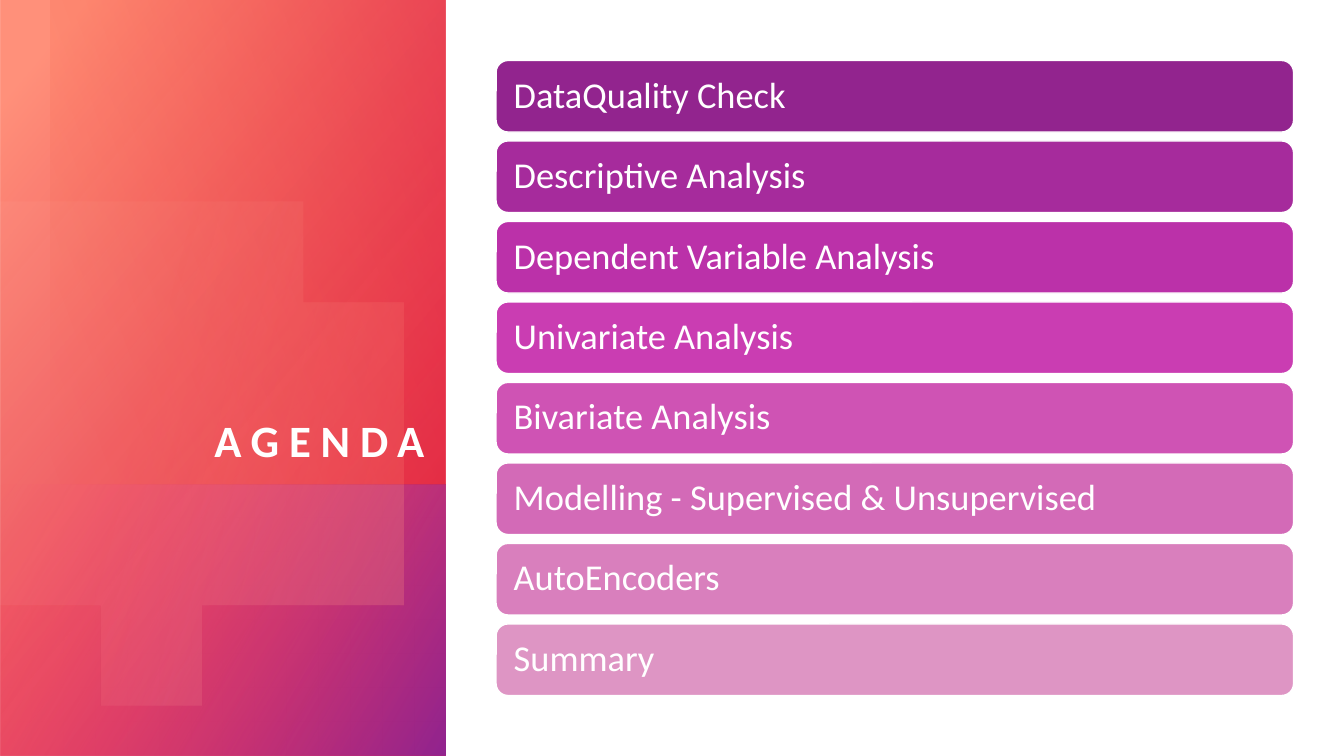
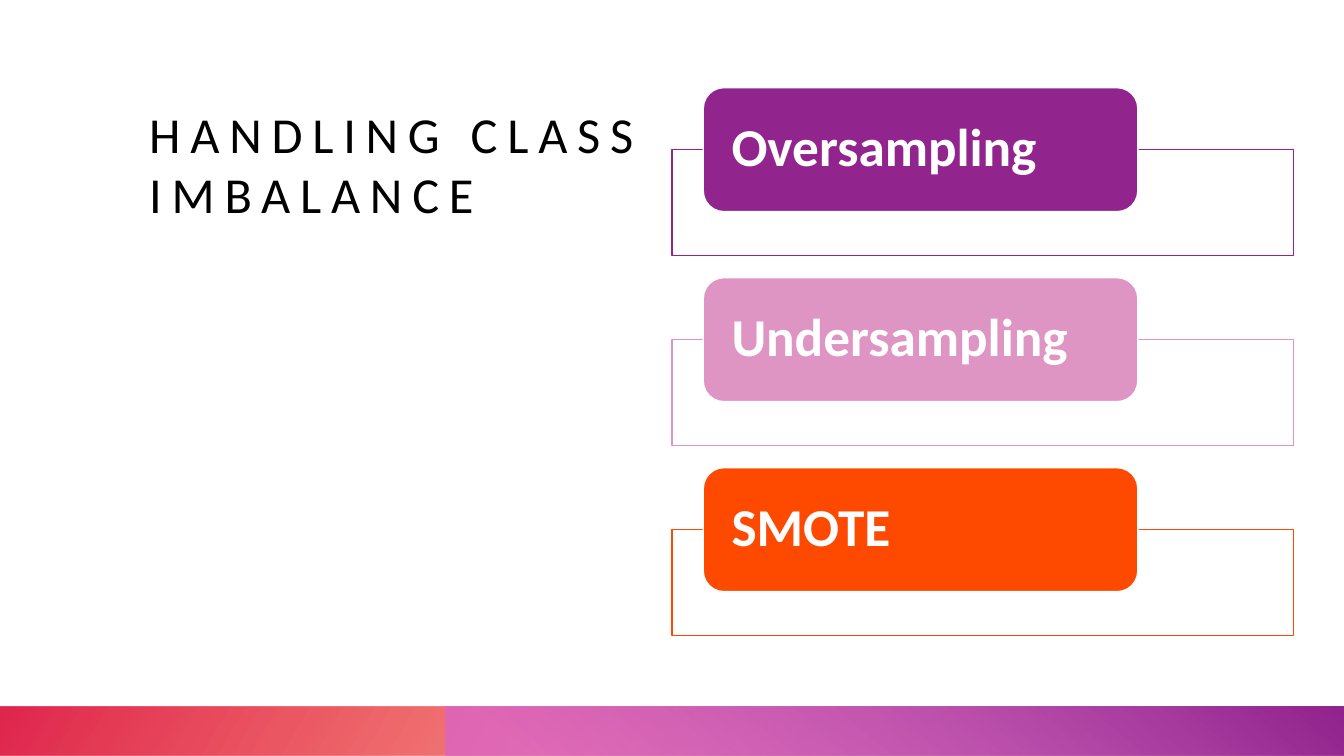
from math import acos, cos, sin, pi

from lxml.etree import SubElement as Sub
from pptx import Presentation
from pptx.dml.color import RGBColor as Rgb
from pptx.enum.shapes import MSO_SHAPE as Kind
from pptx.enum.text import MSO_ANCHOR as Anchor, MSO_AUTO_SIZE as Auto, PP_ALIGN as Align
from pptx.oxml.ns import qn
from pptx.util import Inches, Pt

# Shared look
WIDE, HIGH = 13.33, 7.5
SIDE = 4.42  # width of the left column on both slides
EDGE = 12.83  # right edge of the content
FONT = "Calibri"
WHITE, BLACK = "FFFFFF", "000000"
PLUM, PINK, FLAME, RED = "92248E", "DE95C4", "FE4A00", "DA002F"
PEACH = "FF907A"

TOPICS = [
    ("DataQuality Check", PLUM),
    ("Descriptive Analysis", "A62B9C"),
    ("Dependent Variable Analysis", "BB31A9"),
    ("Univariate Analysis", "CA3DB2"),
    ("Bivariate Analysis", "CF53B4"),
    ("Modelling - Supervised & Unsupervised", "D36AB7"),
    ("AutoEncoders", "D97FBD"),
    ("Summary", PINK),
]
METHODS = [("Oversampling", PLUM), ("Undersampling", PINK), ("SMOTE", FLAME)]


def tint(code):
    return Rgb.from_string(code)


def write(shape, text, size, color=WHITE, bold=False, align=Align.LEFT,
          anchor=Anchor.MIDDLE, inset=(0, 0), lead=1.0, track=0):
    """Put one formatted paragraph into a shape; inset is (sides, top and bottom)."""
    frame = shape.text_frame
    frame.word_wrap, frame.auto_size = True, Auto.NONE
    frame.vertical_anchor = anchor
    frame.margin_left = frame.margin_right = Inches(inset[0])
    frame.margin_top = frame.margin_bottom = Inches(inset[1])
    para = frame.paragraphs[0]
    para.alignment, para.line_spacing = align, lead
    run = para.add_run()
    run.text = text
    font = run.font
    font.name, font.size, font.bold = FONT, Pt(size), bold
    font.color.rgb = tint(color)
    if track:
        run._r.get_or_add_rPr().set("spc", str(track * 100))


def title(slide, text, box, **style):
    """Place the title above everything drawn so far."""
    head = slide.shapes.title
    head.left, head.top, head.width, head.height = map(Inches, box)
    head.element.getparent().append(head.element)
    write(head, text, track=7, **style)


def block(slide, kind, box, fill, line=None):
    shape = slide.shapes.add_shape(kind, *map(Inches, box))
    shape.shadow.inherit = False
    shape.fill.solid()
    shape.fill.fore_color.rgb = tint(fill)
    if line:
        shape.line.color.rgb = tint(line)
        shape.line.width = Pt(1)
    else:
        shape.line.fill.background()
    return shape


def blend(shape, stops, angle):
    """Linear gradient; each stop is (position, colour, opacity), in percent."""
    fill = shape.fill
    fill.gradient()
    fill.gradient_angle = (360 - angle) % 360
    for stop, (place, color, alpha) in zip(fill.gradient_stops, stops):
        stop.position = place / 100
        stop.color.rgb = tint(color)
    marks = shape.element.spPr.find(qn("a:gradFill")).iter(qn("a:srgbClr"))
    for mark, (place, color, alpha) in zip(marks, stops):
        if alpha < 100:
            Sub(mark, qn("a:alpha")).set("val", str(alpha * 1000))


def panel(slide, box, stops, angle, turn=0):
    """Mirrored gradient panel; box is the area it covers after turning."""
    left, top, wide, high = box
    if turn % 180:
        shift = (wide - high) / 2
        box = left + shift, top - shift, high, wide
    shape = block(slide, Kind.RECTANGLE, box, WHITE)
    shape.rotation = turn
    shape.element.spPr.find(qn("a:xfrm")).set("flipH", "1")
    blend(shape, stops, angle)


def disc(slide, x, y, radius, stops, angle):
    """Circle cut off at the left edge of the slide."""
    end, steps = acos(-x / radius), 120
    turns = [end * (2 * i / steps - 1) for i in range(steps + 1)]
    dots = [(x + radius * cos(t), y + radius * sin(t)) for t in turns]
    pen = slide.shapes.build_freeform(*dots[0], scale=Inches(1))
    pen.add_line_segments(dots[1:], close=True)
    shape = pen.convert_to_shape()
    shape.shadow.inherit = False
    shape.line.fill.background()
    blend(shape, stops, angle)


def stack(top, bottom, count, high):
    """Tops of equally spaced rows that fill the span."""
    step = (bottom - top - high) / (count - 1)
    return [top + i * step for i in range(count)]


def agenda(slide):
    # Side column
    low = 4.81
    panel(slide, (0, 0, SIDE, HIGH), [(8, PEACH, 100), (100, RED, 89)], 50, 270)
    panel(slide, (0, low, SIDE, HIGH - low),
          [(0, "FF5076", 0), (99, PLUM, 100)], 60, 270)
    disc(slide, 1.6, 4.25, 2.29, [(36, "FFBCAF", 6), (100, PEACH, 26)], 15)
    panel(slide, (0.5, 0, SIDE - 0.5, low), [(0, RED, 29), (100, FLAME, 0)], 110, 90)
    title(slide, "AGENDA", (0.5, 0.95, 3.71, 3.68), size=32, bold=True,
          align=Align.RIGHT, anchor=Anchor.BOTTOM)
    # Topic rows
    left, high = SIDE + 0.5, 0.71
    for (text, color), top in zip(TOPICS, stack(0.6, 6.9, len(TOPICS), high)):
        row = block(slide, Kind.ROUNDED_RECTANGLE,
                    (left, top, EDGE - left, high), color, WHITE)
        write(row, text, 26, inset=(0.14, 0.11), lead=0.9)


def balance(slide):
    # Footer band
    band = 0.49
    top = HIGH - band
    panel(slide, (0, top, WIDE, band), [(14, FLAME, 28), (100, RED, 85)], 150, 180)
    panel(slide, (SIDE, top, WIDE - SIDE, band),
          [(9, "D861D4", 68), (99, PLUM, 100)], 230)
    title(slide, "HANDLING CLASS IMBALANCE", (1.48, 1.02, 5.02, 4.99),
          size=36, color=BLACK, anchor=Anchor.TOP)
    # Method cards, each over an outlined frame
    left, high = WIDE / 2, 1.23
    for (text, color), top in zip(METHODS, stack(0.87, 5.87, len(METHODS), high)):
        block(slide, Kind.RECTANGLE,
              (left, top + high / 2, EDGE - left, 1.05), WHITE, color)
        card = block(slide, Kind.ROUNDED_RECTANGLE,
                     (left + 0.31, top, 4.31, high), color, WHITE)
        write(card, text, 38, bold=True, inset=(0.22, 0), lead=0.9)


def main():
    deck = Presentation()
    deck.slide_width, deck.slide_height = Inches(WIDE), Inches(HIGH)
    for draw in (agenda, balance):
        draw(deck.slides.add_slide(deck.slide_layouts[5]))
    deck.save("out.pptx")


if __name__ == "__main__":
    main()
